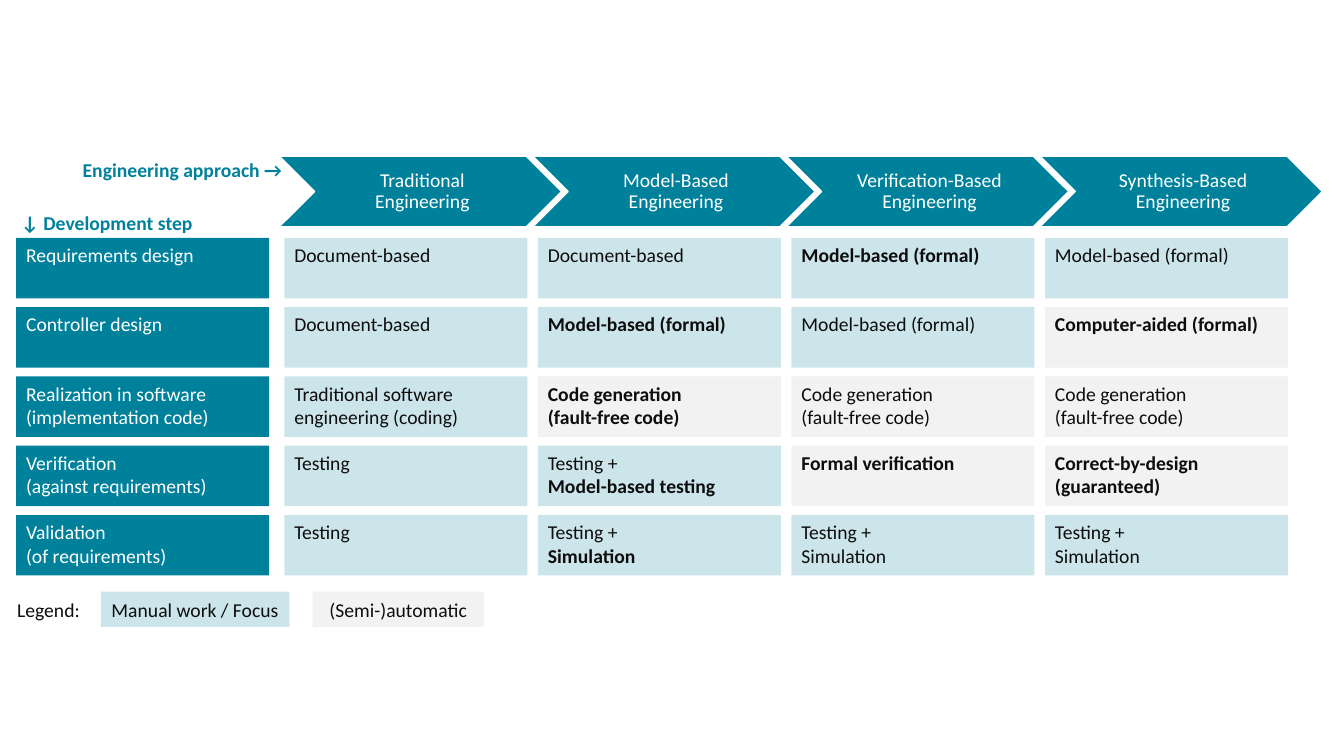
from dataclasses import dataclass
from typing import NamedTuple

from lxml.etree import SubElement
from pptx import Presentation
from pptx.dml.color import RGBColor
from pptx.enum.shapes import MSO_SHAPE
from pptx.enum.text import MSO_ANCHOR, PP_ALIGN
from pptx.oxml.ns import qn
from pptx.util import Inches, Pt


@dataclass(frozen=True)
class Theme:
    font: str = "Calibri"
    size: int = 14
    teal: str = "00819B"
    grey: str = "F2F2F2"
    dark: str = "0D0D0D"
    white: str = "FFFFFF"
    tint: int = 20  # opacity of the manual-work fill, percent


@dataclass(frozen=True)
class Grid:
    left: float = 2.82
    top: float = 2.36
    col_pitch: float = 2.515
    row_pitch: float = 0.6875
    cell_w: float = 2.41
    cell_h: float = 0.6
    step_left: float = 0.16
    step_w: float = 2.51

    def x(self, col: int) -> float:
        return self.left + col * self.col_pitch

    def y(self, row: int) -> float:
        return self.top + row * self.row_pitch


class Box(NamedTuple):
    x: float
    y: float
    w: float
    h: float

    def emu(self) -> list:
        return [Inches(v) for v in self]


class Para(NamedTuple):
    text: str
    bold: bool = False


class Cell(NamedTuple):
    paras: tuple
    auto: bool = False


class Style(NamedTuple):
    color: str
    align: PP_ALIGN = PP_ALIGN.LEFT
    anchor: MSO_ANCHOR = MSO_ANCHOR.TOP
    insets: tuple = (0.1, 0.05, 0.1, 0.05)
    spacing: float = 1.0
    wrap: bool = True


T, G = Theme(), Grid()


def manual(*paras: Para) -> Cell:
    return Cell(paras)


def auto(*paras: Para) -> Cell:
    return Cell(paras, True)


def write(sp, paras: tuple, style: Style) -> None:
    tf = sp.text_frame
    tf.word_wrap = style.wrap
    tf.vertical_anchor = style.anchor
    tf.margin_left, tf.margin_top, tf.margin_right, tf.margin_bottom = map(Inches, style.insets)
    for i, para in enumerate(paras):
        p = tf.add_paragraph() if i else tf.paragraphs[0]
        p.alignment = style.align
        p.line_spacing = style.spacing
        for n, line in enumerate(para.text.split("\n")):
            if n:
                p.add_line_break()
            r = p.add_run()
            r.text = line
            r.font.name, r.font.size, r.font.bold = T.font, Pt(T.size), para.bold
            r.font.color.rgb = RGBColor.from_string(style.color)


def add_box(shapes, kind: MSO_SHAPE, box: Box, fill: str, opacity: int = 100):
    sp = shapes.add_shape(kind, *box.emu())
    sp.shadow.inherit = False
    sp.fill.solid()
    sp.fill.fore_color.rgb = RGBColor.from_string(fill)
    if opacity < 100:
        color = sp.fill._xPr.find(qn("a:solidFill"))[0]
        SubElement(color, qn("a:alpha")).set("val", str(opacity * 1000))
    sp.line.fill.background()
    return sp


def add_label(shapes, box: Box, para: Para, style: Style) -> None:
    write(shapes.add_textbox(*box.emu()), (para,), style)


def add_cell(shapes, box: Box, cell: Cell, style: Style) -> None:
    fill, opacity = (T.grey, 100) if cell.auto else (T.teal, T.tint)
    write(add_box(shapes, MSO_SHAPE.RECTANGLE, box, fill, opacity), cell.paras, style)


def add_approach(shapes, col: int, name: str) -> None:
    w, h = 2.8, 0.7
    tip = h / 2
    box = Box(G.x(col) - 0.05, 1.55, w, h)
    chevron = add_box(shapes, MSO_SHAPE.CHEVRON, box, T.teal)
    chevron.line.color.rgb = RGBColor.from_string(T.white)
    chevron.line.width = Pt(1)
    style = Style(T.white, PP_ALIGN.CENTER, MSO_ANCHOR.MIDDLE, (0.06, 0.02, 0.02, 0.02), 0.9)
    add_label(shapes, Box(box.x + tip, box.y, w - 2 * tip, h), Para(name), style)


# Content
APPROACHES = ("Traditional\nEngineering", "Model-Based Engineering",
              "Verification-Based Engineering", "Synthesis-Based Engineering")
DOCUMENT = manual(Para("Document-based"))
MODEL = manual(Para("Model-based (formal)"))
NEW_MODEL = manual(Para("Model-based (formal)", True))
TESTING = manual(Para("Testing"))
TEST_PLUS = Para("Testing +")
SIMULATION = manual(TEST_PLUS, Para("Simulation"))
CODEGEN = "Code generation\n(fault-free code)"
STEPS = (
    (("Requirements design",), (DOCUMENT, DOCUMENT, NEW_MODEL, MODEL)),
    (("Controller design",),
     (DOCUMENT, NEW_MODEL, MODEL, auto(Para("Computer-aided (formal)", True)))),
    (("Realization in software", "(implementation code)"),
     (manual(Para("Traditional software engineering (coding)")),
      auto(Para(CODEGEN, True)), auto(Para(CODEGEN)), auto(Para(CODEGEN)))),
    (("Verification", "(against requirements)"),
     (TESTING, manual(TEST_PLUS, Para("Model-based testing", True)),
      auto(Para("Formal verification", True)),
      auto(Para("Correct-by-design (guaranteed)", True)))),
    (("Validation", "(of requirements)"),
     (TESTING, manual(TEST_PLUS, Para("Simulation", True)), SIMULATION, SIMULATION)),
)

prs = Presentation()
prs.slide_width, prs.slide_height = Inches(13.33), Inches(7.5)
s = prs.slides.add_slide(prs.slide_layouts[6])

# Engineering approaches
header = s.shapes.add_group_shape()
for col, name in enumerate(APPROACHES):
    add_approach(header.shapes, col, name)

# Development steps and their cells
for row, (step, cells) in enumerate(STEPS):
    sp = add_box(s.shapes, MSO_SHAPE.RECTANGLE,
                 Box(G.step_left, G.y(row), G.step_w, G.cell_h), T.teal)
    write(sp, tuple(Para(line) for line in step), Style(T.white))
    for col, cell in enumerate(cells):
        add_cell(s.shapes, Box(G.x(col), G.y(row), G.cell_w, G.cell_h), cell, Style(T.dark))

# Legend
centred = Style(T.dark, PP_ALIGN.CENTER, MSO_ANCHOR.MIDDLE)
add_cell(s.shapes, Box(1, 5.87, 1.87, 0.35), manual(Para("Manual work / Focus")), centred)
add_cell(s.shapes, Box(3.1, 5.87, 1.7, 0.35), auto(Para("(Semi-)automatic")), centred)
add_label(s.shapes, Box(0.17, 5.88, 0.73, 0.34), Para("Legend:"),
          Style(T.dark, anchor=MSO_ANCHOR.MIDDLE, insets=(0, 0.05, 0.1, 0.05), wrap=False))

# Axis labels
flush = Style(T.teal, insets=(0, 0, 0, 0))
add_label(s.shapes, Box(0.57, 1.57, 2.23, 0.24), Para("Engineering approach →", True),
          flush._replace(align=PP_ALIGN.RIGHT))
add_label(s.shapes, Box(0.21, 2.09, 1.88, 0.24), Para("↓ Development step", True), flush)

prs.save("out.pptx")
